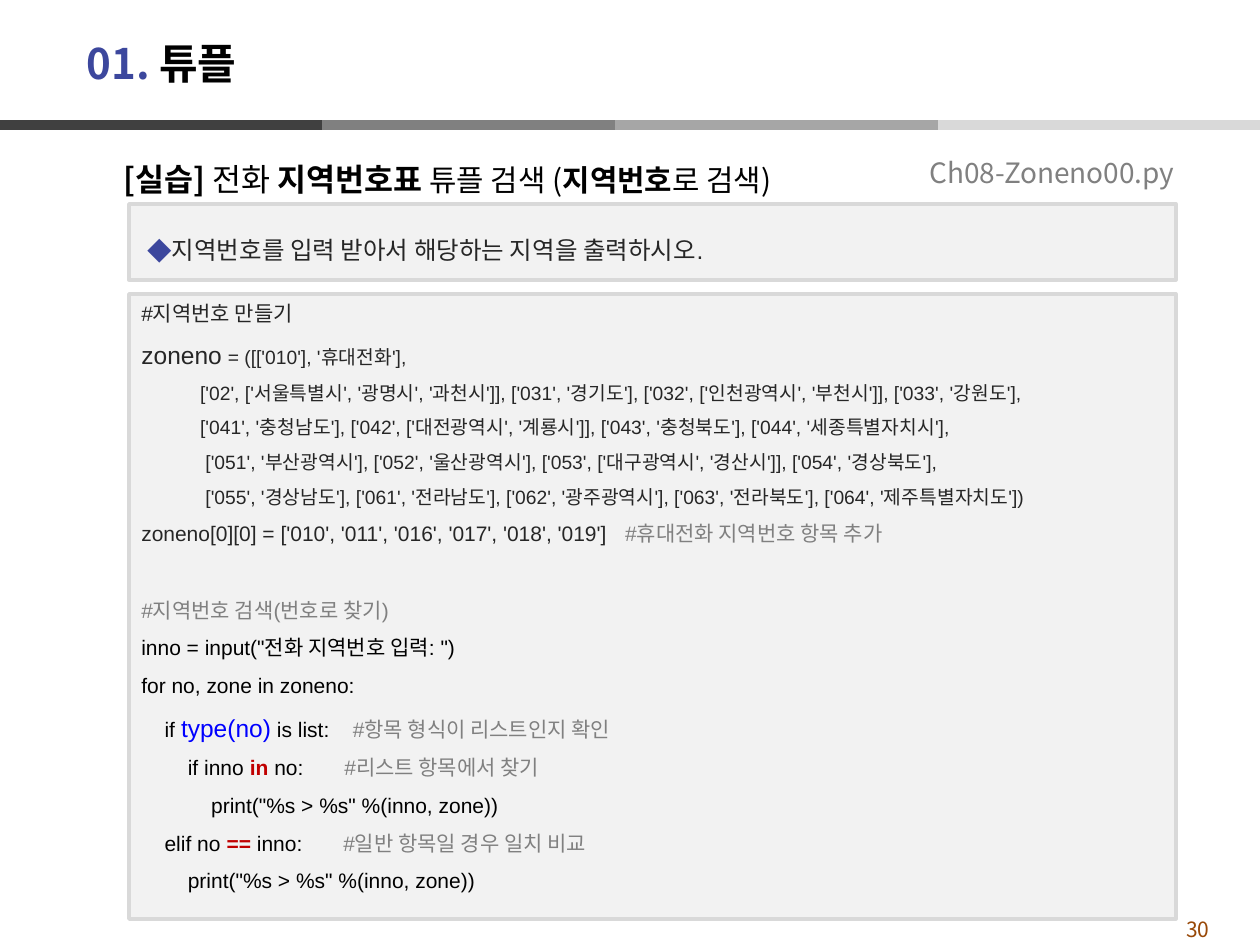
import pptx
import pptx.util
import pptx.dml.color
import pptx.enum.shapes
import pptx.enum.text
import pptx.oxml
import pptx.oxml.ns

SCALE = 914400 / 126
SANS = "Noto Sans CJK KR"
HEX = {
    "white": "FFFFFF", "black": "000000", "ink": "262626", "gray": "808080",
    "navy": "3C479D", "brown": "984807", "blue": "0000FF", "red": "C00000",
    "pale": "F2F2F2", "edge": "D9D9D9", "dark": "404040", "mid": "A6A6A6",
}
LEFT = pptx.enum.text.PP_ALIGN.LEFT
MID = pptx.enum.text.MSO_ANCHOR.MIDDLE
TOP = pptx.enum.text.MSO_ANCHOR.TOP

INK = {"size": 12, "name": "Arial", "color": "ink"}
ROW = INK | {"size": 11}
CODE = INK | {"color": "black"}
NOTE = INK | {"color": "gray"}
KEY = CODE | {"color": "red", "bold": True}
HEAD = {"size": 18, "name": SANS, "color": "black", "bold": True}
THIN = HEAD | {"bold": False}
SMALL = {"size": 17}

LINES = [
    [("#지역번호 만들기", INK)],
    [("zoneno", INK | {"size": 14}), (" ", INK), ("= ([['010'], '휴대전화'],", ROW)],
    [("           ['02', ['서울특별시', '광명시', '과천시']], ['031', '경기도'], "
      "['032', ['인천광역시', '부천시']], ['033', '강원도'],", ROW)],
    [("           ['041', '충청남도'], ['042', ['대전광역시', '계룡시']], "
      "['043', '충청북도'], ['044', '세종특별자치시'],", ROW)],
    [("            ['051', '부산광역시'], ['052', '울산광역시'], "
      "['053', ['대구광역시', '경산시']], ['054', '경상북도'],", ROW)],
    [("            ['055', '경상남도'], ['061', '전라남도'], ['062', '광주광역시'], "
      "['063', '전라북도'], ['064', '제주특별자치도'])", ROW)],
    [("zoneno[0][0] = ['010', '011', '016', '017', '018', '019']   ", INK),
     ("#휴대전화 지역번호 항목 추가", NOTE)],
    [("#지역번호 검색(번호로 찾기)", NOTE)],
    [('inno = input("전화 지역번호 입력: ")', CODE)],
    [("for no, zone in zoneno:", CODE)],
    [("    if ", CODE), ("type(no)", CODE | {"size": 14, "color": "blue"}),
     (" is list:    ", CODE), ("#항목 형식이 리스트인지 확인", NOTE)],
    [("        if inno ", CODE), ("in", KEY), (" no:       ", CODE),
     ("#리스트 항목에서 찾기", NOTE)],
    [('            print("%s > %s" %(inno, zone))', CODE)],
    [("    elif no ", CODE), ("== ", KEY), ("inno:       ", CODE),
     ("#일반 항목일 경우 일치 비교", NOTE)],
    [('        print("%s > %s" %(inno, zone))', CODE)],
]
BREAK = 7


def px(num):
    return round(num * SCALE)


def color(name):
    return pptx.dml.color.RGBColor.from_string(HEX[name])


def node(tag, **attrs):
    item = pptx.oxml.parse_xml(f"<a:{tag} {pptx.oxml.ns.nsdecls('a')}/>")
    for key, val in attrs.items():
        item.set(key, str(val))
    return item


def style(run, form):
    for key, val in form.items():
        if key == "color":
            run.font.color.rgb = color(val)
        elif key == "size":
            run.font.size = pptx.util.Pt(val)
        else:
            setattr(run.font, key, val)
    run.font._element.append(node("ea", typeface=SANS))


def write(para, runs, **form):
    for key, val in ({"alignment": LEFT} | form).items():
        setattr(para, key, val)
    for text, look in runs:
        run = para.add_run()
        run.text = text
        style(run, look)


def indent(para, left, hang, mark=None):
    props = para._p.get_or_add_pPr()
    props.set("marL", str(px(left)))
    props.set("indent", str(px(hang)))
    if mark:
        tint = node("buClr")
        tint.append(node("srgbClr", val=HEX["navy"]))
        props.append(tint)
        props.append(node("buFont", typeface=SANS))
        props.append(node("buChar", char=mark))
    else:
        props.append(node("buNone"))


def frame(shape, anchor=TOP, wrap=True):
    form = {
        "word_wrap": wrap,
        "auto_size": pptx.enum.text.MSO_AUTO_SIZE.NONE,
        "vertical_anchor": anchor,
    }
    for key, val in form.items():
        setattr(shape.text_frame, key, val)
    return shape.text_frame


def place(shape, *box):
    for key, val in zip(("left", "top", "width", "height"), box):
        setattr(shape, key, px(val))


def bar(slide, start, end, tint):
    kind = pptx.enum.shapes.MSO_CONNECTOR.STRAIGHT
    line = slide.shapes.add_connector(kind, px(start), px(125), px(end), px(125))
    line.line.color.rgb = color(tint)
    line.line.width = pptx.util.Pt(6)
    line._element.spPr.append(node("effectLst"))


def panel(slide, *box):
    kind = pptx.enum.shapes.MSO_SHAPE.RECTANGLE
    shape = slide.shapes.add_shape(kind, *map(px, box))
    shape.shadow.inherit = False
    shape.fill.solid()
    shape.fill.fore_color.rgb = color("pale")
    shape.line.color.rgb = color("edge")
    shape.line.width = pptx.util.Pt(2)
    return shape


def label(slide, box, text, look, anchor=TOP, wrap=True, align=LEFT):
    shape = slide.shapes.add_textbox(*map(px, box))
    write(frame(shape, anchor, wrap).paragraphs[0], [(text, look)], alignment=align)


def title(slide):
    shape = slide.shapes.title
    place(shape, 74, 25, 1101, 76)
    look = HEAD | {"size": 24}
    runs = [("01. ", look | {"color": "navy"}), ("튜플", look)]
    write(frame(shape, MID).paragraphs[0], runs)


def body(slide):
    shape = slide.placeholders[1]
    place(shape, 74, 135, 1181, 764)
    para = frame(shape).paragraphs[0]
    indent(para, 37, 0)
    runs = [
        ("[실습]", HEAD), (" 전화 ", THIN), ("지역번호표 ", HEAD),
        ("튜플 검색 (", THIN | SMALL), ("지역번호", HEAD | SMALL),
        ("로 검색)", THIN | SMALL),
    ]
    write(para, runs, line_spacing=1.5, space_before=0,
          space_after=pptx.util.Pt(4))


def task(slide):
    para = frame(panel(slide, 129, 204, 1047, 76), MID).paragraphs[0]
    indent(para, 24, -18, "◆")
    text = "지역번호를 입력 받아서 해당하는 지역을 출력하시오."
    write(para, [(text, INK | {"size": 14})], line_spacing=1.5)


def code(slide):
    text = frame(panel(slide, 129, 294, 1047, 625))
    for num, runs in enumerate(LINES):
        para = text.add_paragraph() if num else text.paragraphs[0]
        form = {"line_spacing": 1.5} if num else {}
        if num == BREAK:
            form["space_before"] = pptx.util.Pt(22)
        write(para, runs, **form)


def main():
    deck = pptx.Presentation()
    deck.slide_width, deck.slide_height = px(1260), px(945)
    slide = deck.slides.add_slide(deck.slide_layouts[1])
    slide.background.fill.solid()
    slide.background.fill.fore_color.rgb = color("white")
    for num, tint in enumerate(("gray", "mid", "edge")):
        bar(slide, 292 + num * 323, 615 + num * 323, tint)
    bar(slide, 0, 322, "dark")
    title(slide)
    body(slide)
    task(slide)
    code(slide)
    label(slide, (917, 139, 287, 67), "Ch08-Zoneno00.py",
          {"size": 16, "name": SANS, "color": "gray"}, MID, False)
    label(slide, (1140, 910, 116, 29), "30",
          {"size": 12, "name": SANS, "color": "brown"},
          align=pptx.enum.text.PP_ALIGN.CENTER)
    deck.save("out.pptx")


if __name__ == "__main__":
    main()
